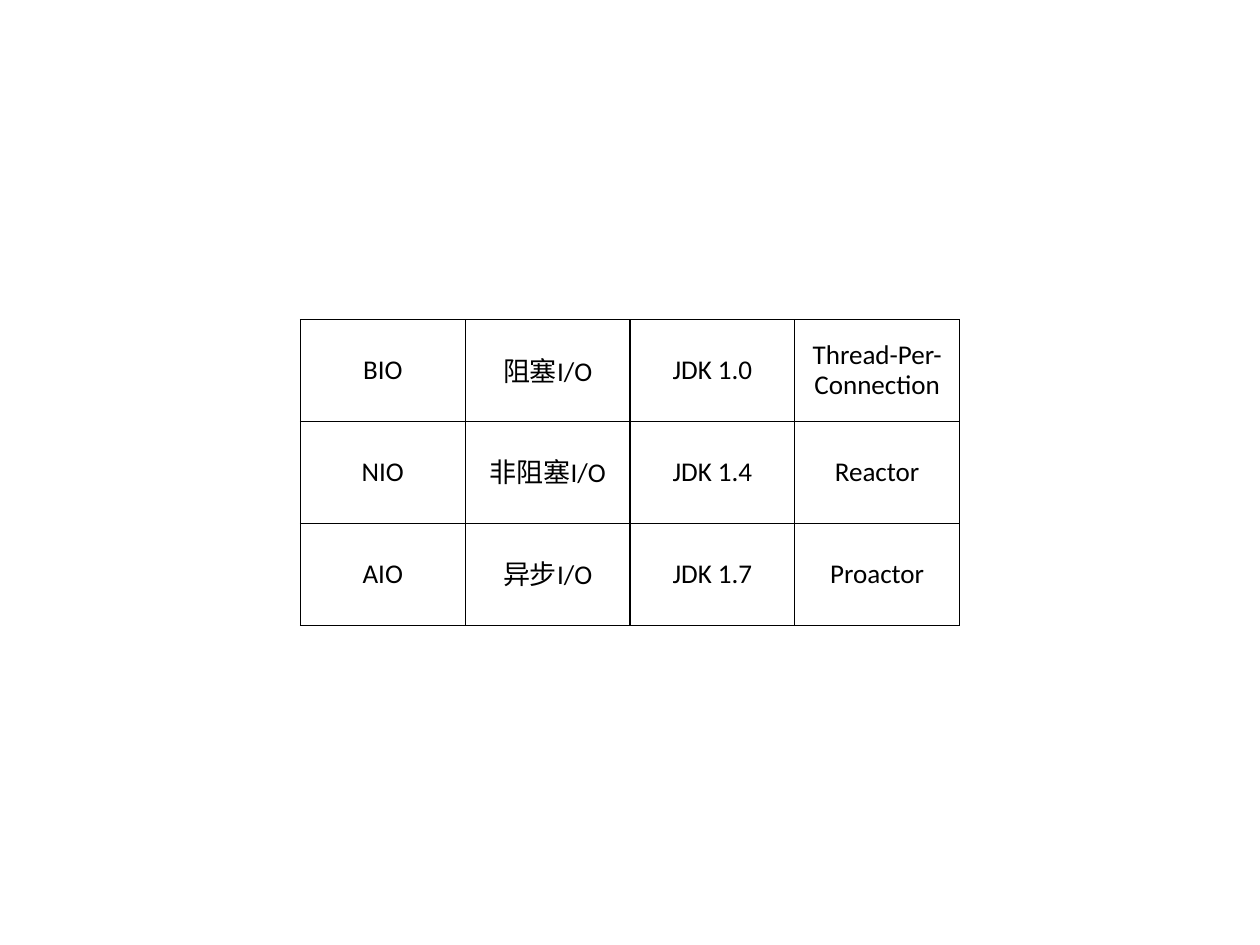
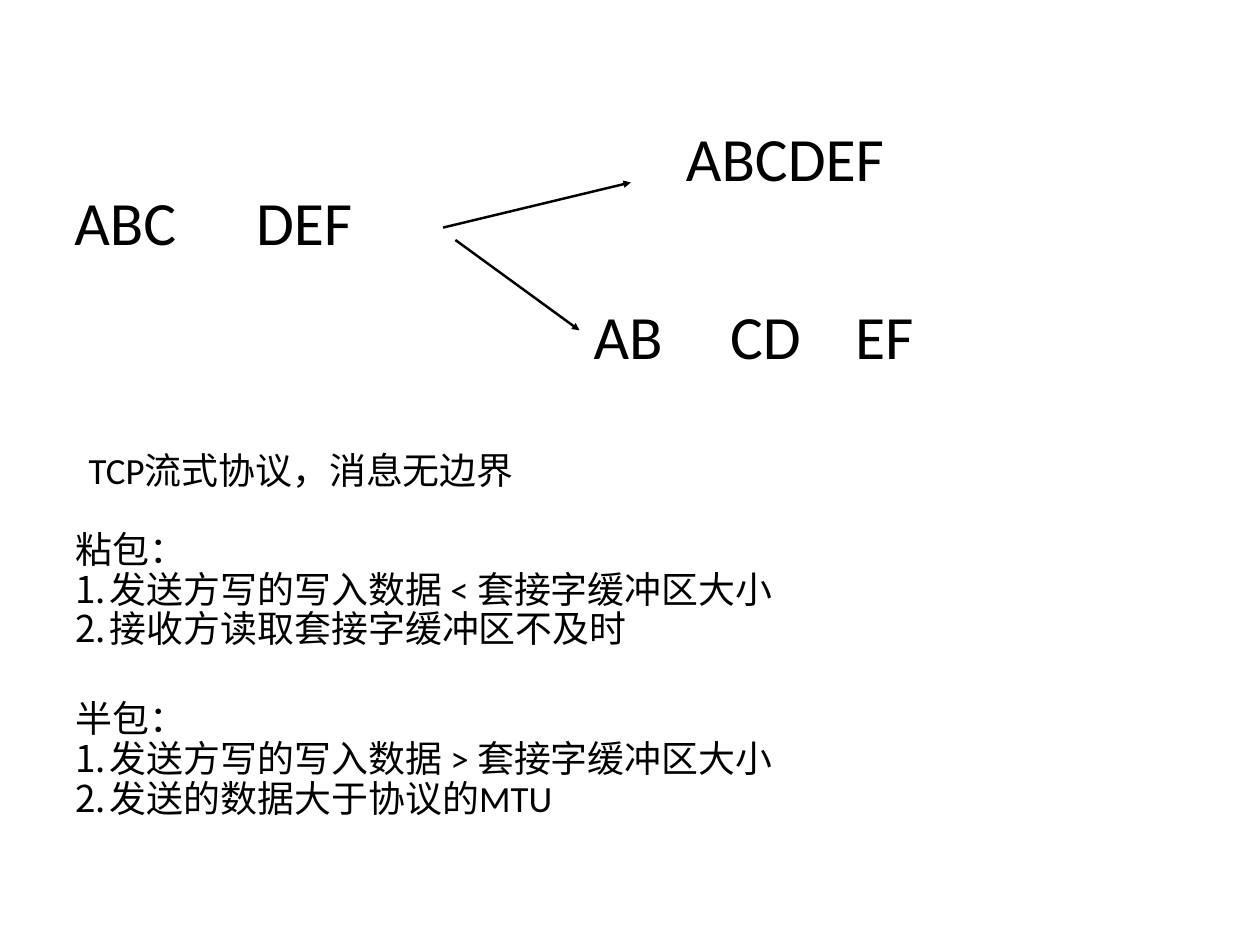
"""Build two slides: Java I/O models and TCP message boundaries."""
from dataclasses import dataclass

from lxml import etree
from pptx import Presentation
from pptx import util as u
from pptx.dml import color
from pptx.enum import shapes, text
from pptx.oxml import ns

COLORS = {"ink": "000000"}
FONT = "Calibri"
INSET = u.Inches(0.06)
LIST_INDENT = u.Inches(0.39)
IO_MODELS = [
    ["BIO", "阻塞I/O", "JDK 1.0", "Thread-Per-Connection"],
    ["NIO", "非阻塞I/O", "JDK 1.4", "Reactor"],
    ["AIO", "异步I/O", "JDK 1.7", "Proactor"],
]


@dataclass(frozen=True)
class Label:
    words: str
    left: float
    top: float
    width: float
    height: float
    size: int = 50
    tabs: tuple[float, ...] = ()


@dataclass(frozen=True)
class Arrow:
    start: tuple[float, float]
    end: tuple[float, float]


@dataclass(frozen=True)
class Causes:
    heading: str
    items: tuple[str, ...]
    top: float
    height: float


LABELS = [
    Label("ABC\tDEF", 0.78, 1.97, 3.97, 1.16, tabs=(2.05,)),
    Label("ABCDEF", 7.37, 1.25, 2.98, 1.16),
    Label("AB\tCD\tEF", 6.64, 3.25, 4.45, 1.16, tabs=(1.54, 2.95)),
    Label("TCP流式协议，消息无边界", 0.82, 4.96, 5.16, 0.75, size=30),
]
ARROWS = [Arrow((5, 2.57), (7.12, 2.06)), Arrow((5.14, 2.71), (6.54, 3.73))]
CAUSES = [
    Causes("粘包：", ("发送方写的写入数据 < 套接字缓冲区大小", "接收方读取套接字缓冲区不及时"), 5.75, 1.85),
    Causes("半包：", ("发送方写的写入数据 > 套接字缓冲区大小", "发送的数据大于协议的MTU"), 7.64, 1.9),
]


def add_child(parent, tag: str, **attributes: str):
    return etree.SubElement(parent, ns.qn(tag), attributes)


def ink() -> color.RGBColor:
    return color.RGBColor.from_string(COLORS["ink"])


def style_paragraph(para, size: int, align=text.PP_ALIGN.LEFT) -> None:
    para.alignment = align
    para.line_spacing = 0.9
    para.space_before = u.Pt(0)
    for span in para.runs:
        span.font.name = FONT
        span.font.size = u.Pt(size)
        span.font.color.rgb = ink()


def set_margins(target) -> None:
    target.margin_left = target.margin_right = INSET
    target.margin_top = target.margin_bottom = INSET


def prepare_frame(frame, wrap: bool) -> None:
    set_margins(frame)
    frame.word_wrap = wrap
    frame.auto_size = text.MSO_AUTO_SIZE.NONE
    frame.vertical_anchor = text.MSO_ANCHOR.MIDDLE


def draw_borders(cell) -> None:
    properties = cell._tc.get_or_add_tcPr()
    for side in ("a:lnL", "a:lnR", "a:lnT", "a:lnB"):
        border = add_child(properties, side, w=str(u.Pt(1)))
        fill = add_child(border, "a:solidFill")
        add_child(fill, "a:srgbClr", val=COLORS["ink"])


def draw_table(page, rows: list[list[str]]) -> None:
    column_count, row_count = len(rows[0]), len(rows)
    table = page.shapes.add_table(
        row_count, column_count, u.Inches(3.39), u.Inches(3.61),
        u.Inches(1.86 * column_count), u.Inches(1.15 * row_count)).table
    table.first_row = table.horz_banding = False
    for row_index, row in enumerate(rows):
        for column_index, words in enumerate(row):
            cell = table.cell(row_index, column_index)
            cell.text_frame.text = words
            cell.vertical_anchor = text.MSO_ANCHOR.MIDDLE
            set_margins(cell)
            style_paragraph(cell.text_frame.paragraphs[0], 22, text.PP_ALIGN.CENTER)
            draw_borders(cell)
            cell.fill.background()


def draw_label(page, label: Label) -> None:
    box = page.shapes.add_textbox(*map(u.Inches, (label.left, label.top, label.width, label.height)))
    prepare_frame(box.text_frame, wrap=bool(label.tabs))
    box.text_frame.text = label.words
    para = box.text_frame.paragraphs[0]
    if label.tabs:
        stops = add_child(para._p.get_or_add_pPr(), "a:tabLst")
        for position in label.tabs:
            add_child(stops, "a:tab", pos=str(u.Inches(position)), algn="l")
    align = text.PP_ALIGN.LEFT if label.tabs else text.PP_ALIGN.CENTER
    style_paragraph(para, label.size, align)


def draw_arrow(page, arrow: Arrow) -> None:
    line = page.shapes.add_connector(
        shapes.MSO_CONNECTOR.STRAIGHT, *map(u.Inches, arrow.start + arrow.end))
    line.line.color.rgb = ink()
    line.line.width = u.Pt(2)
    add_child(line.line._get_or_add_ln(), "a:tailEnd", type="triangle")
    add_child(line._element.spPr, "a:effectLst")


def fill_causes(body, causes: Causes) -> None:
    body.left, body.top = u.Inches(0.79), u.Inches(causes.top)
    body.width, body.height = u.Inches(8.01), u.Inches(causes.height)
    frame = body.text_frame
    prepare_frame(frame, wrap=True)
    frame.text = "\n".join((causes.heading, *causes.items))
    for index, para in enumerate(frame.paragraphs):
        indent = LIST_INDENT if index else 0
        properties = para._p.get_or_add_pPr()
        properties.set("marL", str(indent))
        properties.set("indent", str(-indent))
        if index:
            add_child(properties, "a:buFont", typeface=FONT)
            add_child(properties, "a:buAutoNum", type="arabicPeriod")
        else:
            add_child(properties, "a:buNone")
        style_paragraph(para, 30)


def main() -> None:
    deck = Presentation()
    deck.slide_width, deck.slide_height = u.Inches(14.22), u.Inches(10.67)

    models_page = deck.slides.add_slide(deck.slide_layouts.get_by_name("Blank"))
    draw_table(models_page, IO_MODELS)

    packets_page = deck.slides.add_slide(deck.slide_layouts.get_by_name("Two Content"))
    title, *bodies = packets_page.placeholders
    title._element.getparent().remove(title._element)
    for body, causes in zip(bodies, CAUSES):
        fill_causes(body, causes)
    for label in LABELS:
        draw_label(packets_page, label)
    for arrow in ARROWS:
        draw_arrow(packets_page, arrow)

    deck.save("out.pptx")


if __name__ == "__main__":
    main()
